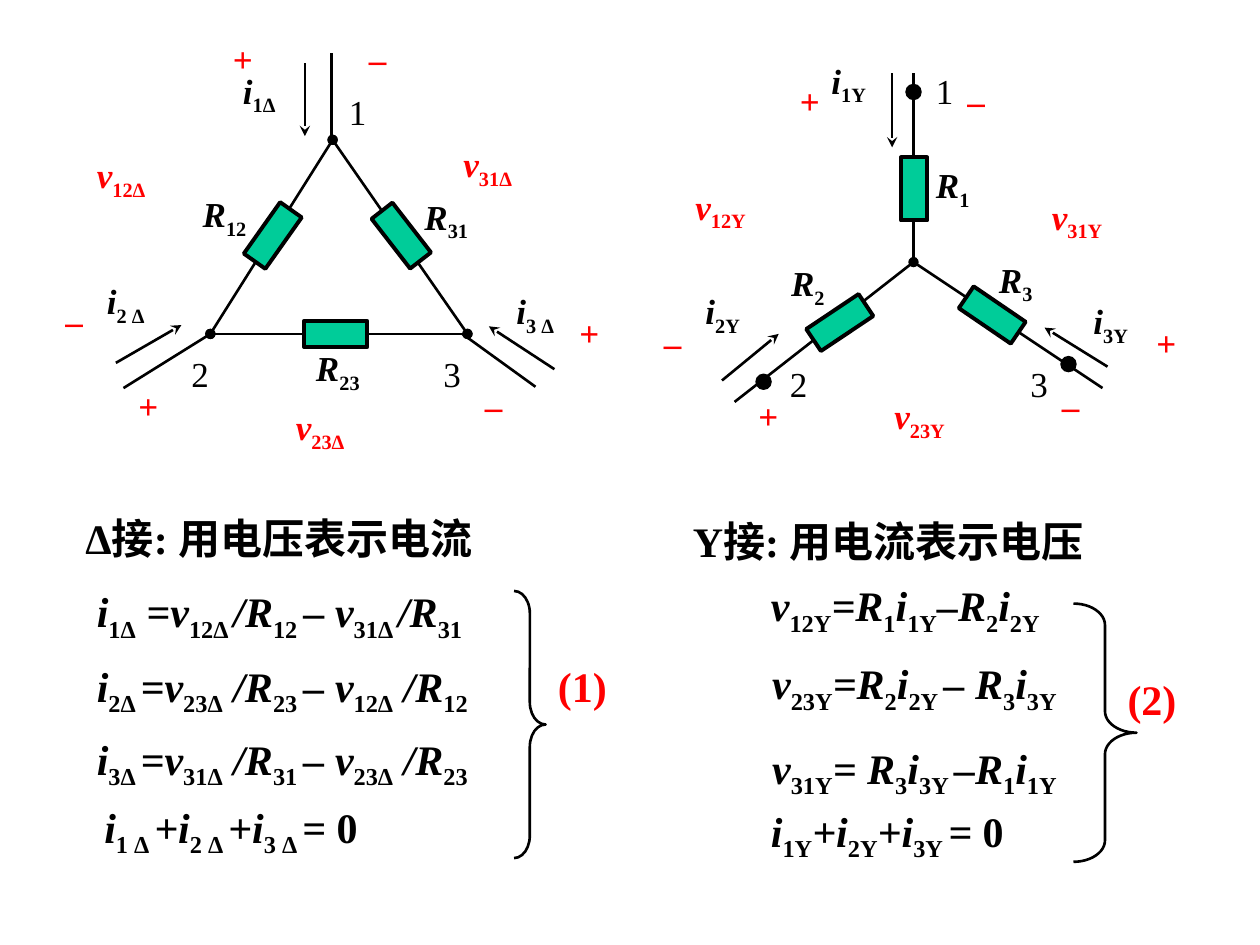
from lxml import etree
from pptx import Presentation
from pptx import util as u
from pptx.dml.color import RGBColor
from pptx.enum import shapes, text
from pptx.oxml.ns import qn

BLACK = RGBColor(0x00, 0x00, 0x00)
RED = RGBColor(0xFF, 0x00, 0x00)
GREEN = RGBColor(0x00, 0xCC, 0x99)
FONT = "Times New Roman"
CM_PER_INCH = 2.54


def length(inches):
    return u.Cm(inches * CM_PER_INCH)


class Region:
    """A group of parts placed relative to the region's top left corner."""

    def __init__(self, slide, left, top):
        self.shapes = slide.shapes.add_group_shape().shapes
        self.left, self.top = left, top

    def at(self, x, y):
        return length(self.left + x), length(self.top + y)

    def line(self, start, end, head=None, tail=None):
        connector = self.shapes.add_connector(
            shapes.MSO_CONNECTOR.STRAIGHT, *self.at(*start), *self.at(*end))
        connector.line.color.rgb = BLACK
        connector.line.width = u.Pt(1.5)
        outline = connector.line._get_or_add_ln()
        for tag, kind in (("a:headEnd", head), ("a:tailEnd", tail)):
            if kind:
                etree.SubElement(outline, qn(tag)).set("type", kind)
        etree.SubElement(connector._element.spPr, qn("a:effectLst"))

    def shape(self, kind, x, y, width, height, fill=None, weight=1.5, rotation=0):
        shape = self.shapes.add_shape(
            kind, *self.at(x, y), length(width), length(height))
        shape.shadow.inherit = False
        shape.rotation = rotation
        if fill is None:
            shape.fill.background()
        else:
            shape.fill.solid()
            shape.fill.fore_color.rgb = fill
        shape.line.color.rgb = BLACK
        shape.line.width = u.Pt(weight)
        return shape

    def resistor(self, x, y, rotation=0, weight=2.25):
        self.shape(shapes.MSO_SHAPE.RECTANGLE, x, y, 0.21, 0.5, GREEN, weight, rotation)

    def label(self, markup, x, y, width, color=BLACK, size=20, bold=True,
              italic=True, spacing=None):
        """Write text in which [..] is a subscript and [^..] is upright."""
        box = self.shapes.add_textbox(
            *self.at(x, y), length(width), length(0.43 if size == 20 else 0.5))
        frame = box.text_frame
        frame.word_wrap = True
        frame.auto_size = text.MSO_AUTO_SIZE.SHAPE_TO_FIT_TEXT
        paragraph = frame.paragraphs[0]
        font = paragraph.font
        font.name, font.size, font.bold = FONT, u.Pt(size), bold
        font.color.rgb = color
        if spacing:
            paragraph.line_spacing = spacing
        for index, part in enumerate(markup.replace("]", "[").split("[")):
            if not part:
                continue
            run = paragraph.add_run()
            run.text = part.lstrip("^")
            run.font.italic = italic and index % 2 == 0
            run.font.name, run.font.size, run.font.bold = FONT, u.Pt(size), bold
            run.font.color.rgb = color
            if index % 2 and not part.startswith("^"):
                run._r.get_or_add_rPr().set("baseline", "-25000")

    def labels(self, symbols, voltages, numbers, pluses, minuses):
        for symbol in symbols:
            self.label(*symbol)
        for markup, x, y in voltages:
            self.label(markup, x, y, 0.83, RED)
        for number, (x, y) in enumerate(numbers, 1):
            self.label(str(number), x, y, 0.42, bold=False, italic=False)
        for sign, places in (("+", pluses), ("–", minuses)):
            for x, y in places:
                self.label(sign, x, y, 0.42, RED, italic=False)


def delta_circuit(slide, left, top):
    region = Region(slide, left, top)
    node1, node2, node3 = (2.64, 1.11), (1.67, 2.65), (3.71, 2.65)

    # Triangle, outer leads and current arrows
    for start, end in ((node2, node3), (node3, node1), (node1, node2)):
        region.line(start, end, "oval", "oval")
    for start, end in (((2.63, 1.11), (2.63, 0.42)), (node2, (0.98, 3.08)),
                       ((3.67, 2.65), (4.25, 3.07))):
        region.line(start, end)
    for start, end in (((2.42, 0.5), (2.42, 1.08)), ((0.92, 2.88), (1.44, 2.58)),
                       ((4.4, 2.93), (3.88, 2.59))):
        region.line(start, end, tail="stealth")

    # Resistors
    region.resistor(2.56, 2.4, 270)
    region.resistor(3.08, 1.62, 322.2)
    region.resistor(2.06, 1.62, 35.3)

    region.labels(
        symbols=[("R[12]", 1.51, 1.48, 0.92), ("R[31]", 3.27, 1.5, 0.8),
                 ("R[23]", 2.41, 2.7, 0.87), ("i[1Δ]", 1.83, 0.5, 0.83),
                 ("i[2 Δ]", 0.75, 2.17, 0.75), ("i[3 Δ]", 4, 2.25, 0.72)],
        voltages=[("v[12Δ]", 0.67, 1.17), ("v[23Δ]", 2.25, 3.17), ("v[31Δ]", 3.58, 1.08)],
        numbers=[(2.67, 0.67), (1.42, 2.75), (3.42, 2.75)],
        pluses=[(1.75, 0.25), (1, 3), (4.5, 2.42)],
        minuses=[(2.83, 0.25), (0.42, 2.33), (3.75, 3)])


def wye_circuit(slide, left, top):
    region = Region(slide, left, top)
    center = (2.25, 2.08)

    # Branches and current arrows
    region.line((2.25, 0.58), center, tail="oval")
    region.line(center, (0.83, 3.19))
    region.line(center, (3.75, 3.08))
    for start, end in (((2.08, 0.58), (2.08, 1.17)), ((0.73, 3.02), (1.18, 2.65)),
                       ((3.79, 2.91), (3.29, 2.6))):
        region.line(start, end, tail="stealth")

    # Resistors and terminals
    region.resistor(1.56, 2.31, 56.2)
    region.resistor(2.77, 2.25, 304.3)
    region.resistor(2.15, 1.25)
    for x, y in ((1, 2.97), (2.19, 0.67), (3.42, 2.83)):
        region.shape(shapes.MSO_SHAPE.OVAL, x, y, 0.12, 0.12, BLACK, 0.75)

    region.labels(
        symbols=[("R[1]", 2.33, 1.25, 0.58), ("R[2]", 1.18, 2.03, 0.58),
                 ("R[3]", 2.83, 2, 0.56), ("i[1Y]", 1.5, 0.42, 0.75),
                 ("i[2Y]", 0.5, 2.25, 0.75), ("i[3Y]", 3.58, 2.33, 0.67)],
        voltages=[("v[12Y]", 0.42, 1.42), ("v[23Y]", 2, 3.08), ("v[31Y]", 3.25, 1.5)],
        numbers=[(2.33, 0.5), (1.17, 2.83), (3.08, 2.83)],
        pluses=[(1.25, 0.58), (0.92, 3.08), (4.08, 2.5)],
        minuses=[(0.17, 2.5), (3.33, 3), (2.58, 0.58)])


def equation_system(slide, left, top, title, equations, brace, curve, number):
    region = Region(slide, left, top)
    heading, x, y, width = title
    region.label(heading, x, y, width, size=24, italic=False)
    for markup, x, y, width, spacing in equations:
        region.label(markup, x, y, width, size=24, spacing=spacing)
    shape = region.shape(shapes.MSO_SHAPE.RIGHT_BRACE, *brace)
    shape.adjustments[0] = curve
    caption, x, y, width = number
    region.label(caption, x, y, width, RED, 24, italic=False)


def main():
    presentation = Presentation()
    presentation.slide_width, presentation.slide_height = length(10), length(7.5)
    slide = presentation.slides.add_slide(presentation.slide_layouts[6])

    delta_circuit(slide, 0, 0)
    wye_circuit(slide, 5, 0)
    equation_system(
        slide, 0, 4, ("Δ接: 用电压表示电流", 0.58, 0.02, 3.67),
        [("i[1Δ] =v[12Δ ]/R[12 ]– v[31Δ ]/R[31]", 0.67, 0.6, 3.75, None),
         ("i[2Δ ]=v[23Δ] /R[23 ]– v[12Δ] /R[12]", 0.67, 1.19, 3.4, None),
         ("i[3Δ ]=v[31Δ] /R[31 ]– v[23Δ] /R[23]", 0.67, 1.85, 3.64, 0.7),
         ("i[1 Δ ]+i[2 Δ ]+i[3 Δ ]= [^0]", 0.73, 2.31, 2.4, None)],
        (4.08, 0.69, 0.25, 2.12), 0.708, ("(1)", 4.33, 1.19, 0.67))
    equation_system(
        slide, 5, 4, ("Y接: 用电流表示电压", 0.4, 0.04, 3.44),
        [("v[12Y]=R[1]i[1Y]–R[2]i[2Y]", 1.02, 0.63, 2.83, 0.7),
         ("v[23Y]=R[2]i[2Y ]– R[3]i[3Y]", 1.03, 1.17, 2.75, None),
         ("v[31Y]= R[3]i[3Y ]–R[1]i[1Y]", 1.03, 1.84, 2.75, None),
         ("i[1Y]+i[2Y]+i[3Y ]= [^0]", 1.02, 2.34, 2.2, None)],
        (3.52, 0.79, 0.5, 2.05), 0.341, ("(2)", 3.85, 1.3, 0.75))

    presentation.save("out.pptx")


if __name__ == "__main__":
    main()
